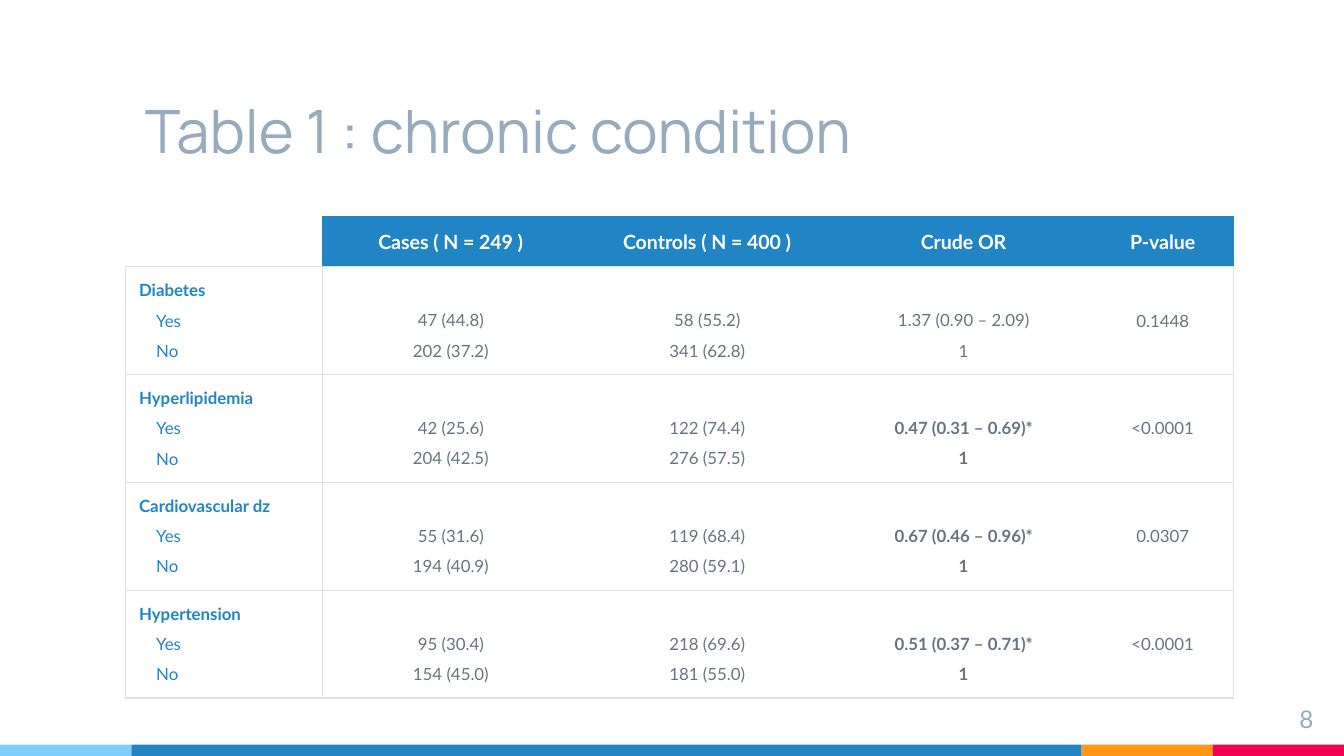
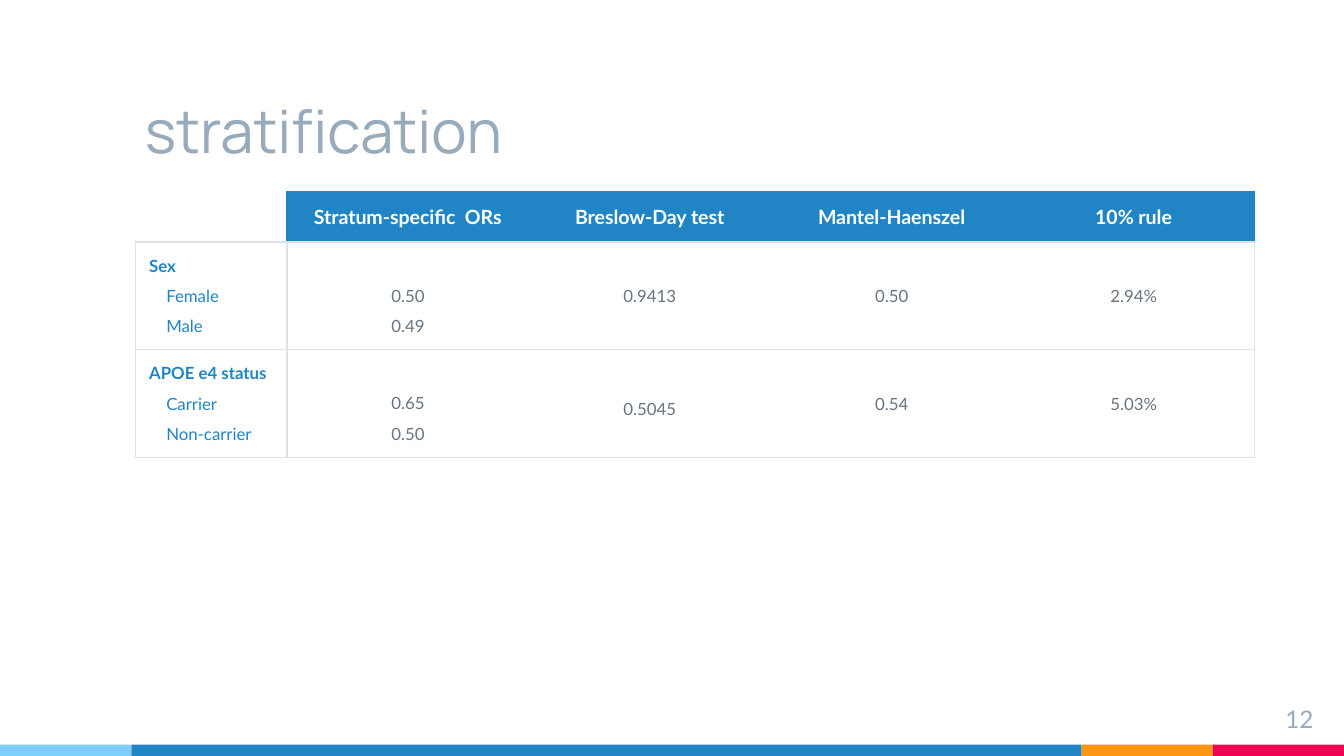
from dataclasses import dataclass

from lxml import etree
from pptx import Presentation
from pptx.dml.color import RGBColor
from pptx.enum.shapes import MSO_SHAPE
from pptx.enum.text import MSO_ANCHOR, PP_ALIGN
from pptx.oxml.ns import qn
from pptx.slide import Slide
from pptx.table import _Cell
from pptx.text.text import TextFrame, _Paragraph
from pptx.util import Emu, Inches, Pt

RECTANGLE = MSO_SHAPE.RECTANGLE
TOP, MIDDLE, BOTTOM = MSO_ANCHOR.TOP, MSO_ANCHOR.MIDDLE, MSO_ANCHOR.BOTTOM
LEFT, CENTER, RIGHT = PP_ALIGN.LEFT, PP_ALIGN.CENTER, PP_ALIGN.RIGHT

BLUE = RGBColor(0x21, 0x85, 0xC5)
SKY = RGBColor(0x7E, 0xCE, 0xFD)
ORANGE = RGBColor(0xFF, 0x97, 0x15)
CRIMSON = RGBColor(0xF2, 0x02, 0x53)
SLATE = RGBColor(0x97, 0xAB, 0xBC)
GREY = RGBColor(0x67, 0x74, 0x80)
RULE = RGBColor(0xDE, 0xE2, 0xE6)
WHITE = RGBColor(0xFF, 0xFF, 0xFF)

TITLE_FONT, BODY_FONT = "Manrope", "Lato"

# The slide is a grid of square units, 100 columns by 56.25 rows.
GRID_COLUMNS, GRID_ROWS = 100, 56.25
UNIT = Inches(0.1)
EDGE = 9.77
BAND_TOP = 55.4
HEADER_ROWS, GROUP_ROWS = 3.7, 8
PADDING = 1
BELOW_HEADING = 3.2
LEVEL_INDENT = 1.27


@dataclass(frozen=True)
class Band:
    left: float
    right: float
    color: RGBColor


@dataclass(frozen=True)
class TextStyle:
    size: float
    color: RGBColor
    font: str = BODY_FONT
    bold: bool = False
    align: PP_ALIGN = CENTER


@dataclass(frozen=True)
class Value:
    """One value per line; two lines sit beside the two levels of the group."""
    lines: tuple[str, ...]
    bold: bool = False
    drop: float = 0


@dataclass(frozen=True)
class Group:
    heading: str
    levels: tuple[str, str]
    values: tuple[Value, ...]


@dataclass(frozen=True)
class TableSlide:
    title: str
    number: int
    left: float
    top: float
    widths: tuple[float, ...]
    headers: tuple[str, ...]
    groups: tuple[Group, ...]


BANDS = (
    Band(GRID_COLUMNS - 2 * EDGE, GRID_COLUMNS - EDGE, ORANGE),
    Band(GRID_COLUMNS - EDGE, GRID_COLUMNS, CRIMSON),
    Band(0, EDGE, SKY),
    Band(EDGE, GRID_COLUMNS - 2 * EDGE, BLUE),
)

TITLE = TextStyle(32, SLATE, TITLE_FONT, align=LEFT)
PAGE_NUMBER = TextStyle(13, SLATE, align=RIGHT)
HEADER = TextStyle(10.5, WHITE, bold=True)
HEADING = TextStyle(9, BLUE, bold=True, align=LEFT)
LEVEL = TextStyle(9, BLUE, align=LEFT)
PLAIN_VALUE = TextStyle(9, GREY)
BOLD_VALUE = TextStyle(9, GREY, bold=True)


def condition(name: str, cases: tuple[str, str], controls: tuple[str, str],
              odds_ratio: str, p_value: str) -> Group:
    significant = odds_ratio.endswith("*")
    return Group(name, ("Yes", "No"), (
        Value(cases), Value(controls),
        Value((odds_ratio, "1"), bold=significant), Value((p_value,))))


SLIDES = (
    TableSlide(
        "Table 1 : chronic condition", 8, 9.35, 16.1,
        (14.65, 19.08, 19.08, 19.08, 10.54),
        ("Cases ( N = 249 )", "Controls ( N = 400 )", "Crude OR", "P-value"),
        (
            condition("Diabetes", ("47 (44.8)", "202 (37.2)"),
                      ("58 (55.2)", "341 (62.8)"), "1.37 (0.90 – 2.09)", "0.1448"),
            condition("Hyperlipidemia", ("42 (25.6)", "204 (42.5)"),
                      ("122 (74.4)", "276 (57.5)"), "0.47 (0.31 – 0.69)*", "<0.0001"),
            condition("Cardiovascular dz", ("55 (31.6)", "194 (40.9)"),
                      ("119 (68.4)", "280 (59.1)"), "0.67 (0.46 – 0.96)*", "0.0307"),
            condition("Hypertension", ("95 (30.4)", "154 (45.0)"),
                      ("218 (69.6)", "181 (55.0)"), "0.51 (0.37 – 0.71)*", "<0.0001"),
        ),
    ),
    TableSlide(
        "stratification", 12, 10.1, 14.25,
        (11.25, 18, 18, 18, 18),
        ("Stratum-specific  ORs", "Breslow-Day test", "Mantel-Haenszel", "10% rule"),
        (
            Group("Sex", ("Female", "Male"), (
                Value(("0.50", "0.49")), Value(("0.9413",)),
                Value(("0.50",)), Value(("2.94%",)))),
            Group("APOE e4 status", ("Carrier", "Non-carrier"), (
                Value(("0.65", "0.50")), Value(("0.5045",), drop=0.75),
                Value(("0.54",)), Value(("5.03%",)))),
        ),
    ),
)


def grid(units: float) -> Emu:
    return Emu(round(units * UNIT))


def pad(target: TextFrame | _Cell, top: float = PADDING,
        padding: float = PADDING) -> None:
    target.margin_left = target.margin_right = target.margin_bottom = grid(padding)
    target.margin_top = grid(top)


def apply_style(paragraph: _Paragraph, style: TextStyle) -> None:
    paragraph.alignment = style.align
    font = paragraph.font
    font.name, font.size, font.bold = style.font, Pt(style.size), style.bold
    font.color.rgb = style.color


def write_lines(frame: TextFrame, lines: tuple[str, ...],
                styles: tuple[TextStyle, ...]) -> None:
    """Write one paragraph per line, opening up the lines after the first."""
    for index, (line, style) in enumerate(zip(lines, styles)):
        paragraph = frame.add_paragraph() if index else frame.paragraphs[0]
        paragraph.text = line
        apply_style(paragraph, style)
        if index:
            paragraph.line_spacing = 1.5
        if style is LEVEL:
            paragraph._p.get_or_add_pPr().set("marL", str(grid(LEVEL_INDENT)))


def draw_band(slide: Slide, band: Band) -> None:
    strip = slide.shapes.add_shape(
        RECTANGLE, grid(band.left), grid(BAND_TOP),
        grid(band.right - band.left), grid(GRID_ROWS - BAND_TOP))
    strip.shadow.inherit = False
    strip.fill.solid()
    strip.fill.fore_color.rgb = band.color
    strip.line.fill.background()


def draw_text(slide: Slide, text: str, style: TextStyle, anchor: MSO_ANCHOR,
              left: float, top: float, width: float, height: float) -> None:
    frame = slide.shapes.add_textbox(
        grid(left), grid(top), grid(width), grid(height)).text_frame
    frame.word_wrap = True
    frame.vertical_anchor = anchor
    pad(frame)
    write_lines(frame, (text,), (style,))


def set_borders(cell: _Cell, **colors: RGBColor) -> None:
    """Rule the sides named L, R, T or B; the other sides get no line."""
    properties = cell._tc.get_or_add_tcPr()
    for side in "LRTB":
        line = etree.SubElement(properties, qn(f"a:ln{side}"), w=str(Pt(0.75)))
        if side in colors:
            fill = etree.SubElement(line, qn("a:solidFill"))
            etree.SubElement(fill, qn("a:srgbClr"), val=str(colors[side]))
        else:
            etree.SubElement(line, qn("a:noFill"))


def cell_borders(row: int, column: int, last_column: int) -> dict[str, RGBColor]:
    if row == 0 and column == 0:
        return {"R": BLUE, "B": RULE}
    side_color = RULE if row else BLUE
    borders = {"T": RULE if row > 0 else BLUE, "B": RULE}
    if column <= 1:
        borders["L"] = side_color
    if column in (0, last_column):
        borders["R"] = side_color
    return borders


def fill_group(cells: list[_Cell], group: Group) -> None:
    write_lines(cells[0].text_frame, (group.heading, *group.levels),
                (HEADING, LEVEL, LEVEL))
    for cell, value in zip(cells[1:], group.values):
        style = BOLD_VALUE if value.bold else PLAIN_VALUE
        write_lines(cell.text_frame, value.lines, (style,) * len(value.lines))
        pad(cell, BELOW_HEADING if len(value.lines) > 1 else PADDING + value.drop)


def draw_table(slide: Slide, content: TableSlide) -> None:
    heights = (HEADER_ROWS, *(GROUP_ROWS for _ in content.groups))
    table = slide.shapes.add_table(
        len(heights), len(content.widths), grid(content.left), grid(content.top),
        grid(sum(content.widths)), grid(sum(heights))).table
    table.first_row = table.horz_banding = False
    for column, width in zip(table.columns, content.widths):
        column.width = grid(width)
    for row, height in zip(table.rows, heights):
        row.height = grid(height)

    rows = [list(row.cells) for row in table.rows]
    for row_index, cells in enumerate(rows):
        for column_index, cell in enumerate(cells):
            set_borders(cell, **cell_borders(row_index, column_index, len(cells) - 1))
            cell.fill.background()
            cell.vertical_anchor = MIDDLE
            pad(cell)

    corner, *header_cells = rows[0]
    pad(corner, top=0, padding=0)
    for cell, header in zip(header_cells, content.headers):
        cell.fill.solid()
        cell.fill.fore_color.rgb = BLUE
        write_lines(cell.text_frame, (header,), (HEADER,))
    for cells, group in zip(rows[1:], content.groups):
        fill_group(cells, group)


def main() -> None:
    presentation = Presentation()
    presentation.slide_width = grid(GRID_COLUMNS)
    presentation.slide_height = grid(GRID_ROWS)
    blank = presentation.slide_layouts[6]
    for content in SLIDES:
        slide = presentation.slides.add_slide(blank)
        for band in BANDS:
            draw_band(slide, band)
        draw_text(slide, content.title, TITLE, BOTTOM, 9.8, 3.9, 70.7, 9.4)
        draw_text(slide, str(content.number), PAGE_NUMBER, TOP, 92.7, 51.4, 6, 3.4)
        draw_table(slide, content)
    presentation.save("out.pptx")


if __name__ == "__main__":
    main()
